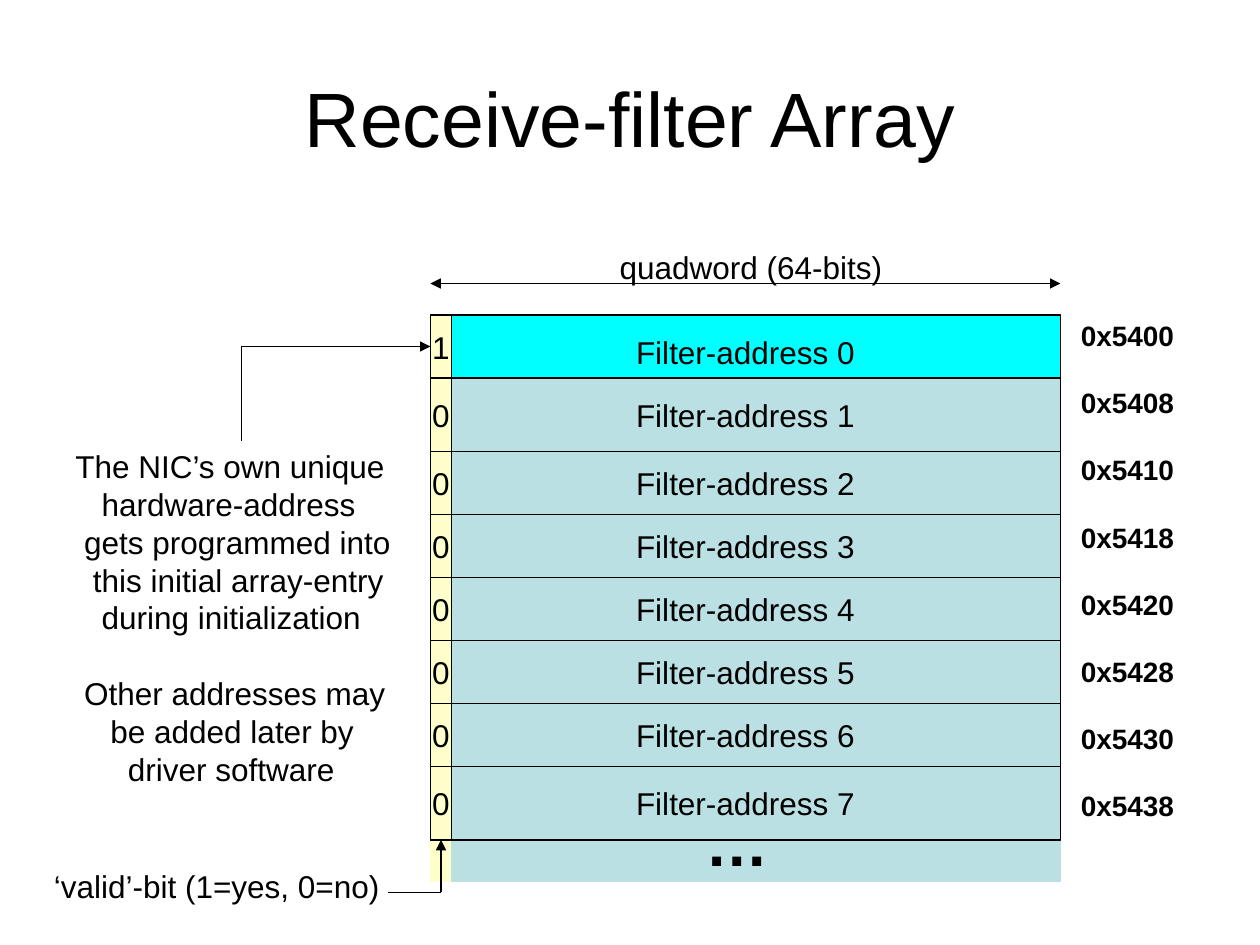
"""Build the receive-filter array slide."""
import itertools

import pptx
import pptx.dml.color
import pptx.enum.shapes
import pptx.enum.text
import pptx.oxml
import pptx.oxml.ns
import pptx.util

Inches = pptx.util.Inches
Pt = pptx.util.Pt
ALIGN = pptx.enum.text.PP_ALIGN
ANCHOR = pptx.enum.text.MSO_ANCHOR
COLORS = {"ink": "000000", "bit": "FFFFCC", "row": "BBE0E3", "own": "00FFFF"}
UNIT = 1 / 12
LEFT, TOP, WIDE, THIN = 41 * UNIT, 2.5, 5, 2 * UNIT
SHORT, TALL = 6 * UNIT, 7 * UNIT
STEPS = [SHORT, TALL] + [SHORT] * 5 + [TALL]
SPACE = 5
NOTE = [
    ("The NIC’s own unique", 0),
    ("hardware-address", 3),
    ("gets programmed into", 1),
    ("this initial array-entry", 2),
    ("during initialization", 3),
    ("Other addresses may", 1),
    ("be added later by", 4),
    ("driver software", 6),
]


def rgb(name):
    return pptx.dml.color.RGBColor.from_string(COLORS[name])


def style(frame, size, bold=False, align=ALIGN.LEFT):
    for para in frame.paragraphs:
        para.alignment = align
        for run in para.runs:
            run.font.name = "Arial"
            run.font.size = Pt(size)
            run.font.bold = bold
            run.font.color.rgb = rgb("ink")


def add_box(slide, area, fill, line="ink", text=""):
    box = slide.shapes.add_shape(
        pptx.enum.shapes.MSO_SHAPE.RECTANGLE, *map(Inches, area))
    box.shadow.inherit = False
    box.fill.solid()
    box.fill.fore_color.rgb = rgb(fill)
    box.line.color.rgb = rgb(line)
    box.line.width = Pt(0.75)
    if text:
        frame = box.text_frame
        frame.text = text
        frame.word_wrap = False
        frame.vertical_anchor = ANCHOR.MIDDLE
        style(frame, 18, align=ALIGN.CENTER)
    return box


def add_label(slide, area, text, size=18, bold=False):
    frame = slide.shapes.add_textbox(*map(Inches, area)).text_frame
    frame.text = text
    frame.word_wrap = True
    style(frame, size, bold)
    return frame


def add_line(slide, start, end, head=False, tail=False):
    line = slide.shapes.add_connector(
        pptx.enum.shapes.MSO_CONNECTOR.STRAIGHT, *map(Inches, start + end))
    line.line.color.rgb = rgb("ink")
    line.line.width = Pt(0.75)
    edge = line.line._get_or_add_ln()
    for tag, shown in (("a:headEnd", head), ("a:tailEnd", tail)):
        if shown:
            tip = pptx.oxml.ns.qn(tag)
            edge.append(edge.makeelement(tip, {"type": "triangle"}))
    props = line._element.spPr
    props.append(props.makeelement(pptx.oxml.ns.qn("a:effectLst"), {}))
    return line


def add_title(slide):
    area = (0.5, 0.3, 9, 1.25)
    frame = add_label(slide, area, "Receive-filter Array")
    frame.vertical_anchor = ANCHOR.MIDDLE
    style(frame, 44, align=ALIGN.CENTER)


def add_array(slide):
    tops = list(itertools.accumulate(STEPS, initial=TOP))
    foot = tops[-1]
    add_box(slide, (LEFT, foot, THIN, 0.33), "bit", "bit")
    add_box(slide, (LEFT + THIN, foot, WIDE - THIN, 0.33), "row", "row")
    for num, (top, tall) in enumerate(zip(tops, STEPS)):
        fill, tall = ("row", tall) if num else ("own", TALL)
        add_box(slide, (LEFT, top, WIDE, tall), fill,
                text=f"Filter-address {num}")
    return [
        add_box(slide, (LEFT, top, THIN, tall), "bit",
                text="0" if num else "1")
        for num, (top, tall) in enumerate(zip(tops, STEPS))
    ]


def add_offsets(slide):
    text = "\n".join(f"0x{0x5400 + 8 * num:X}" for num in range(len(STEPS)))
    frame = add_label(slide, (8.48, 2.48, 1.1, 4.1), text, 16, True)
    for para in frame.paragraphs[1:]:
        para.space_before = Pt(19.2)


def add_note(slide):
    text = "\n".join(words for words, _ in NOTE)
    frame = add_label(slide, (0.5, 3.5, 2.85, 2.8), text)
    for para, (words, count) in zip(frame.paragraphs, NOTE):
        para._p.get_or_add_pPr().set("marL", str(Pt(count * SPACE)))
        if words.startswith("Other"):
            para.space_before = Pt(21.6)


def add_links(slide, bits):
    mid, low = LEFT + THIN / 2, 85 * UNIT
    turn, high = 23 * UNIT, TOP + SHORT / 2
    foot = TOP + sum(STEPS)
    add_line(slide, (LEFT, 2.25), (LEFT + WIDE, 2.25), head=True, tail=True)
    add_line(slide, (mid, low), (mid, foot), tail=True).end_connect(bits[-1], 2)
    add_line(slide, (mid, low), (mid - 5 * UNIT, low))
    add_line(slide, (turn, high), (LEFT, high), tail=True).end_connect(bits[0], 1)
    add_line(slide, (turn, 3.5), (turn, high))


def main():
    deck = pptx.Presentation()
    deck.slide_width, deck.slide_height = Inches(10), Inches(7.5)
    slide = deck.slides.add_slide(deck.slide_layouts[6])
    add_title(slide)
    bits = add_array(slide)
    add_offsets(slide)
    add_label(slide, (4.82, 1.92, 2.6, 0.4), "quadword (64-bits)")
    add_label(slide, (0.33, 6.83, 3, 0.4), "‘valid’-bit (1=yes, 0=no)")
    add_note(slide)
    add_links(slide, bits)
    add_label(slide, (5.5, 6.33, 0.8, 0.7), "…", 36, True)
    deck.save("out.pptx")


if __name__ == "__main__":
    main()
